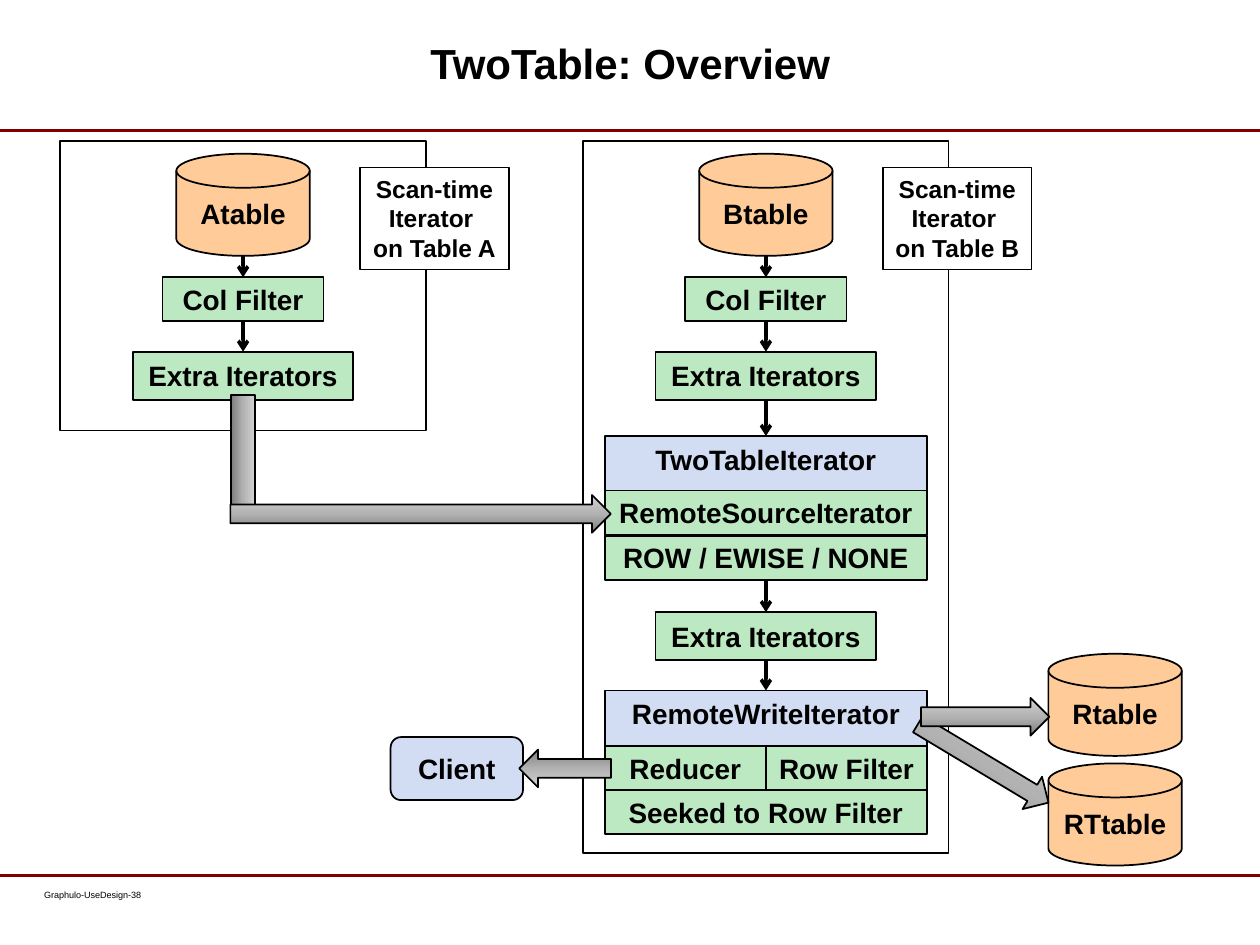
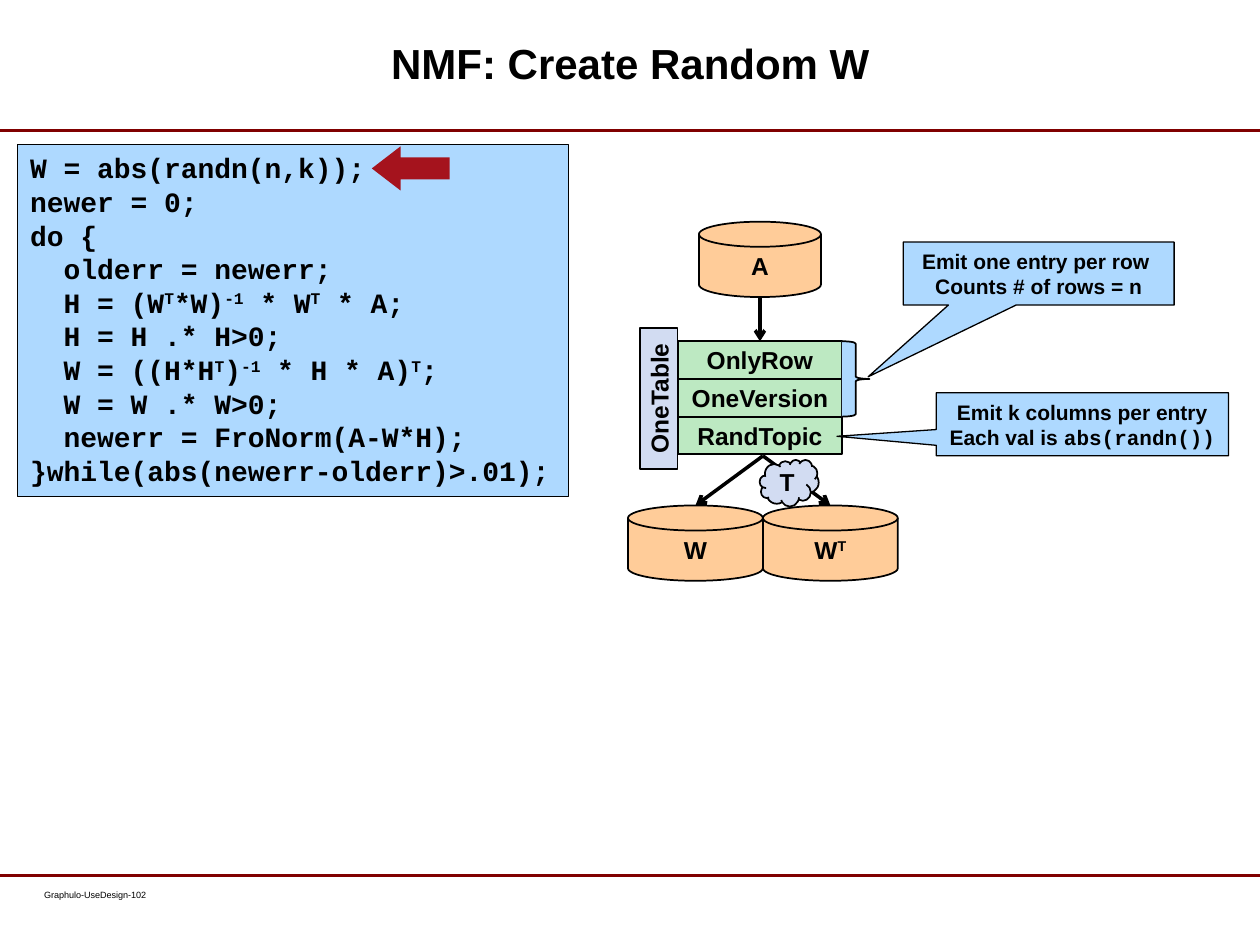
from dataclasses import dataclass
from functools import partial
from typing import Any, NamedTuple, Optional

from lxml import etree
from pptx import Presentation
from pptx import util as u
from pptx.dml.color import RGBColor
from pptx.enum import shapes, text
from pptx.oxml.ns import qn

COLORS = {
    "ink": "000000",
    "rule": "800000",
    "paper": "FFFFFF",
    "table": "FFCC99",
    "step": "BDE9C2",
    "host": "D2DCF2",
    "code": "AED9FF",
    "pointer": "A5131D",
}
FLOW_STOPS = {0: "7D7D7D", 50: "B2B2B2", 100: "D3D3D3"}
SANS, MONO = "Arial", "Courier New"
KIND = shapes.MSO_SHAPE
TOP, MIDDLE = text.MSO_ANCHOR.TOP, text.MSO_ANCHOR.MIDDLE
LEFT, CENTER = text.PP_ALIGN.LEFT, text.PP_ALIGN.CENTER


@dataclass
class Box:
    """A shape placed by its horizontal centre and its top, in cm.

    In the words, ^ marks off superscripts and ` marks off code.
    """
    words: str
    center: float
    top: float
    width: float
    height: float
    kind: Any = KIND.RECTANGLE
    fill: Optional[str] = "step"
    line: float = 1
    size: float = 16
    font: str = SANS
    anchor: Any = MIDDLE
    align: Any = CENTER
    wrap: bool = False
    rotation: float = 0
    adjust: tuple[float, ...] = ()


class Link(NamedTuple):
    x1: float
    y1: float
    x2: float
    y2: float


Disk = partial(Box, kind=KIND.FLOWCHART_MAGNETIC_DISK, fill="table")
Host = partial(Box, fill="host", anchor=TOP)
Note = partial(Box, fill="paper", line=0.75, size=14, anchor=TOP, wrap=True)
Callout = partial(Box, kind=KIND.RECTANGULAR_CALLOUT, fill="code",
                  line=0.75, size=12, anchor=TOP)
Flow = partial(Box, "", kind=KIND.RIGHT_ARROW, fill="flow")
Frame = partial(Box, "", fill=None)


def rgb(name: str) -> RGBColor:
    return RGBColor.from_string(COLORS[name])


def apply_format(target: Any, values: dict[str, Any]) -> None:
    for name, value in values.items():
        setattr(target, name, value)


def write(frame: Any, words: str, size: float, font: str = SANS,
          bold: bool = True, align: Any = CENTER, spacing: Any = None) -> None:
    for number, row in enumerate(words.split("\n")):
        paragraph = frame.add_paragraph() if number else frame.paragraphs[0]
        apply_format(paragraph, {"alignment": align, "line_spacing": spacing})
        for raised, part in enumerate(row.split("^")):
            for coded, piece in enumerate(part.split("`")):
                if not piece:
                    continue
                run = paragraph.add_run()
                run.text = piece
                apply_format(run.font, {"size": u.Pt(size), "bold": bold,
                                        "name": MONO if coded % 2 else font})
                run.font.color.rgb = rgb("ink")
                if raised % 2:
                    run.font._element.set("baseline", "30000")


def paint_flow(shape: Any) -> None:
    """Fill with the grey gradient, dark at the bottom."""
    shape.fill.gradient()
    shape.fill.gradient_angle = 90
    stops = shape._element.spPr.find(".//" + qn("a:gsLst"))
    for stop in list(stops):
        stops.remove(stop)
    for percent, color in FLOW_STOPS.items():
        stop = etree.SubElement(stops, qn("a:gs"), pos=str(percent * 1000))
        etree.SubElement(stop, qn("a:srgbClr"), val=color)


def draw_box(slide: Any, box: Box) -> None:
    shape = slide.shapes.add_shape(
        box.kind, u.Cm(box.center - box.width / 2), u.Cm(box.top),
        u.Cm(box.width), u.Cm(box.height))
    shape.shadow.inherit = False
    shape.rotation = box.rotation
    for index, value in enumerate(box.adjust):
        shape.adjustments[index] = value
    if box.fill == "flow":
        paint_flow(shape)
    elif box.fill:
        shape.fill.solid()
        shape.fill.fore_color.rgb = rgb(box.fill)
    else:
        shape.fill.background()
    if box.line:
        shape.line.color.rgb = rgb("ink")
        shape.line.width = u.Pt(box.line)
    else:
        shape.line.fill.background()
    if box.words:
        apply_format(shape.text_frame, {"word_wrap": box.wrap,
                                        "vertical_anchor": box.anchor})
        write(shape.text_frame, box.words, box.size, box.font, align=box.align)


def draw_link(slide: Any, link: Link, color: str = "ink",
              width: float = 2, arrow: bool = True) -> None:
    connector = slide.shapes.add_connector(
        shapes.MSO_CONNECTOR.STRAIGHT, *(u.Cm(value) for value in link))
    connector.line.color.rgb = rgb(color)
    connector.line.width = u.Pt(width)
    if arrow:
        etree.SubElement(connector.line._get_or_add_ln(), qn("a:tailEnd"),
                         type="arrow")
    etree.SubElement(connector._element.spPr, qn("a:effectLst"))


def draw_parts(slide: Any, parts: list[Any]) -> None:
    for part in parts:
        if isinstance(part, Link):
            draw_link(slide, part)
        else:
            draw_box(slide, part)


def start_slide(deck: Any, title: str, number: int) -> Any:
    """Add a slide with its title, two rules and footer."""
    slide = deck.slides.add_slide(deck.slide_layouts[6])
    for height in (2.64, 17.65):
        draw_link(slide, Link(0, height, 25.4, height), "rule", 1.75, False)
    footer = slide.shapes.add_textbox(
        u.Cm(0.89), u.Cm(17.93), u.Cm(3.02), u.Cm(0.61)).text_frame
    apply_format(footer, {f"margin_{side}": 0
                          for side in ("left", "top", "right", "bottom")})
    footer.word_wrap = True
    write(footer, f"Graphulo-UseDesign-{number}", 5.2, bold=False, align=LEFT)
    heading = slide.shapes.add_textbox(
        u.Cm(2.62), u.Cm(0.28), u.Cm(20.17), u.Cm(2.26)).text_frame
    apply_format(heading, {"word_wrap": True, "vertical_anchor": MIDDLE})
    write(heading, title, 24, spacing=u.Pt(21))
    return slide


def scan_parts(name: str, center: float, frame_height: float) -> list[Any]:
    """The scan of one table, inside its labelled frame."""
    return [
        Frame(center, 2.84, 7.37, frame_height),
        Disk(f"{name}table", center, 3.1, 2.69, 2.06),
        Link(center, 5.16, center, 5.59),
        Box("Col Filter", center, 5.59, 3.25, 0.89),
        Link(center, 6.48, center, 7.09),
        Box("Extra Iterators", center, 7.09, 4.45, 0.97),
        Note(f"Scan-time Iterator \non Table {name}",
             center + 3.86, 3.38, 3, 2.06),
    ]


def overview_parts() -> list[Any]:
    scan_a, scan_b, result = 4.9, 15.44, 22.48
    step, half = 0.89, 3.25
    return [
        *scan_parts("A", scan_a, 5.84),
        *scan_parts("B", scan_b, 14.35),
        Link(scan_b, 8.06, scan_b, 8.79),
        Host("TwoTableIterator", scan_b, 8.79, 2 * half, 2),
        Box("RemoteSourceIterator", scan_b, 9.89, 2 * half, step),
        Box("ROW / EWISE / NONE", scan_b, 10.8, 2 * half, step),
        Link(scan_b, 11.69, scan_b, 12.34),
        Box("Extra Iterators", scan_b, 12.34, 4.45, 0.97),
        Link(scan_b, 13.31, scan_b, 13.92),
        Host("RemoteWriteIterator", scan_b, 13.92, 2 * half, 2),
        Box("Reducer", scan_b - half / 2, 15.04, half, step),
        Box("Row Filter", scan_b + half / 2, 15.04, half, step),
        Box("Seeked to Row Filter", scan_b, 15.93, 2 * half, step),
        Disk("Rtable", result, 13.18, 2.69, 2.06),
        Disk("RTtable", result, 15.39, 2.69, 2.06),
        Box("Client", 9.21, 14.86, 2.67, 1.27, fill="host",
            kind=KIND.FLOWCHART_ALTERNATE_PROCESS),
        Flow(19.82, 15.01, 3.07, 0.76, rotation=31),
        Flow(19.86, 14.07, 2.59, 0.76),
        Flow(11.39, 15.11, 1.85, 0.76, rotation=180),
        Flow(scan_a, 9.02, 2.59, 0.48, kind=KIND.RECTANGLE, rotation=90),
        Flow(8.48, 9.98, 7.67, 0.76),
    ]


NMF_CODE = """W = abs(randn(n,k));
newer = 0;
do {
  olderr = newerr;
  H = (W^T^*W)^-1^ * W^T^ * A;
  H = H .* H>0;
  W = ((H*H^T^)^-1^ * H * A)^T^;
  W = W .* W>0;
  newerr = FroNorm(A-W*H);
}while(abs(newerr-olderr)>.01);"""


def random_w_parts() -> list[Any]:
    chain, step, first = 15.32, 0.76, 6.88
    fork, spread, outputs = 15.38, 1.36, 10.19
    small_disk = partial(Disk, height=1.52, size=14)
    return [
        Box(NMF_CODE, 5.91, 2.92, 11.1, 7.09, fill="code", line=0.75,
            font=MONO, anchor=TOP, align=LEFT, wrap=True),
        small_disk("A", chain, 4.47, 2.46),
        Link(chain, 5.99, chain, first),
        Box("OneTable", 13.28, 7.65, 2.84, step, fill="host", size=14,
            rotation=270),
        *(Box(name, chain, first + row * step, 3.3, step, size=14)
          for row, name in enumerate(("OnlyRow", "OneVersion", "RandTopic"))),
        small_disk("W^T^", fork + spread, outputs, 2 * spread),
        small_disk("W", fork - spread, outputs, 2 * spread),
        Link(fork, 9.19, fork - spread, outputs),
        Link(fork, 9.19, fork + spread, outputs),
        Box("T", 15.91, 9.27, 1.19, 0.94, kind=KIND.CLOUD, fill="host",
            size=14),
        Callout("Emit one entry per row \nCounts # of rows = n",
                20.94, 4.88, 5.46, 1.27, adjust=(-0.63, 1.64)),
        Box("", 17.25, first, 0.56, 2 * step, kind=KIND.RIGHT_BRACE,
            fill="code"),
        Callout("Emit k columns per entry\nEach val is `abs(randn())`",
                21.82, 7.92, 5.89, 1.27, adjust=(-0.84, 0.19)),
        Box("", 8.28, 2.95, 1.57, 0.89, kind=KIND.RIGHT_ARROW,
            fill="pointer", line=0, rotation=180, adjust=(0.5, 0.65)),
    ]


def main() -> None:
    deck = Presentation()
    apply_format(deck, {"slide_width": u.Cm(25.4), "slide_height": u.Cm(19.05)})
    draw_parts(start_slide(deck, "TwoTable: Overview", 38), overview_parts())
    draw_parts(start_slide(deck, "NMF: Create Random W", 102), random_w_parts())
    deck.save("out.pptx")


if __name__ == "__main__":
    main()
